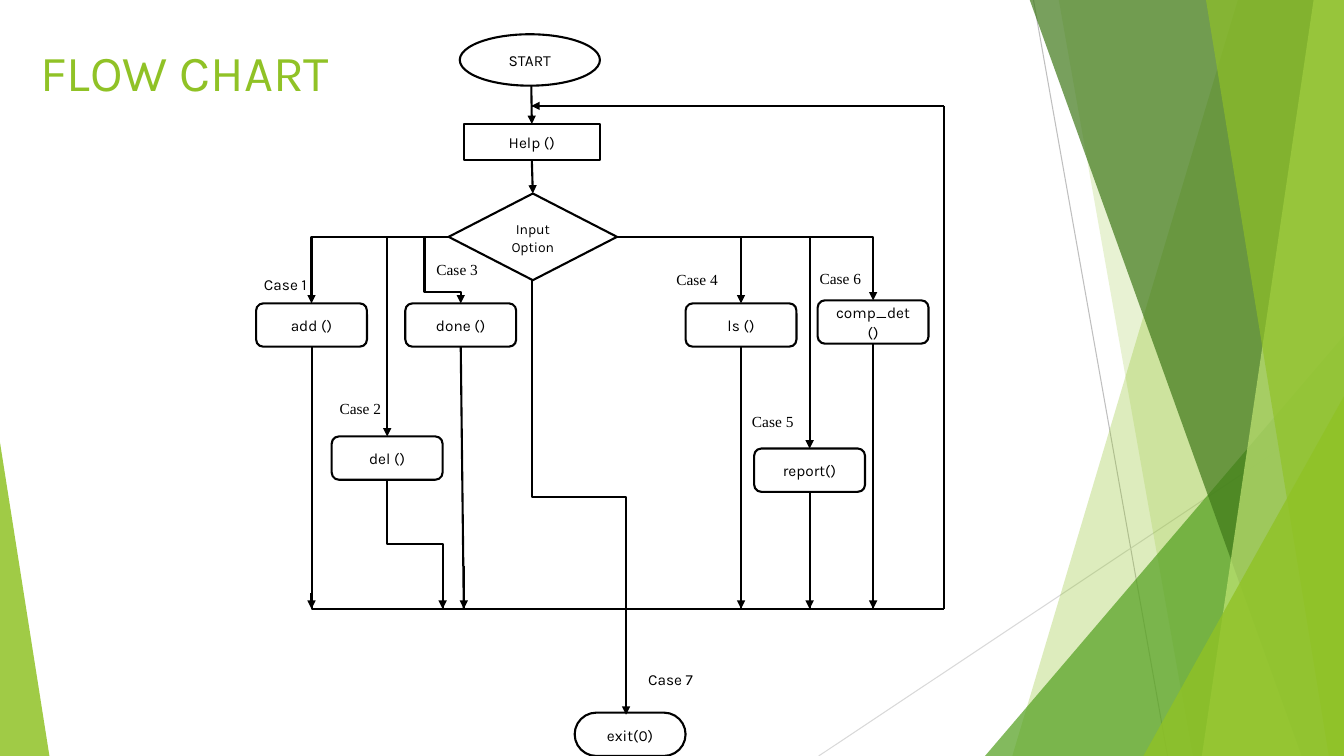
"""Build the flow chart slide of a menu program."""
import pptx
import pptx.util
import pptx.dml.color
import pptx.enum.shapes
import pptx.enum.text
import pptx.oxml.ns
import lxml.etree

Inches = pptx.util.Inches
Pt = pptx.util.Pt
qn = pptx.oxml.ns.qn
Form = pptx.enum.shapes.MSO_SHAPE
Link = pptx.enum.shapes.MSO_CONNECTOR
Anchor = pptx.enum.text.MSO_ANCHOR
Align = pptx.enum.text.PP_ALIGN

deck = pptx.Presentation()
deck.slide_width, deck.slide_height = Inches(13.33), Inches(7.5)
slide = deck.slides.add_slide(deck.slide_layouts[6])
shapes = slide.shapes


def paint(part, color, alpha=100):
    part.solid()
    part.fore_color.rgb = pptx.dml.color.RGBColor.from_string(color)
    if alpha < 100:
        tint = part._xPr.find(".//" + qn("a:srgbClr"))
        lxml.etree.SubElement(tint, qn("a:alpha")).set("val", str(alpha * 1000))


def join(kind, start, end, head=False, color="000000", width=1.5):
    line = shapes.add_connector(kind, *[Inches(n) for n in start + end])
    paint(line.line.fill, color)
    line.line.width = Pt(width)
    props = line._element.spPr
    if head:
        tip = lxml.etree.SubElement(props.find(qn("a:ln")), qn("a:tailEnd"))
        tip.set("type", "triangle")
    lxml.etree.SubElement(props, qn("a:effectLst"))
    return line


join(Link.STRAIGHT, (10.25, 0), (11.58, 7.5), color="BFBFBF", width=0.75)
join(Link.STRAIGHT, (13.33, 4.03), (8.12, 7.5), color="D9D9D9", width=0.75)

bands = [
    (12.28, 10.04, "90C226", 30),
    (10.5, 11.83, "90C226", 20),
    (9.77, 3.33, 3.56, 4.17, 1, "54A021", 72),
    (10.21, 12.91, "3F7819", 70),
    (13.03, 11.92, "C0E474", 70),
    (11.96, 13.18, "90C226", 65),
    (11.34, 3.93, 1.99, 3.57, 1, "90C226", 80),
    (0, 4.39, 0.49, 3.11, 0, "90C226", 85),
]
for *place, color, alpha in bands:
    if len(place) == 2:
        top, foot = place
        pen = shapes.build_freeform(Inches(top), Inches(-0.01))
        edge = [(13.33, -0.01), (13.33, 7.5), (foot, 7.5)]
        pen.add_line_segments([(Inches(x), Inches(y)) for x, y in edge])
        band = pen.convert_to_shape()
    else:
        *area, peak = place
        band = shapes.add_shape(Form.ISOSCELES_TRIANGLE, *[Inches(n) for n in area])
        band.adjustments[0] = peak
    band.shadow.inherit = False
    paint(band.fill, color, alpha)
    band.line.fill.background()

title = shapes.add_textbox(Inches(0.3), Inches(0.36), Inches(9.4), Inches(1.44))
title.text_frame.word_wrap = True
para = title.text_frame.paragraphs[0]
para.text = "FLOW CHART"
para.font.name, para.font.size = "Karla", Pt(36)
paint(para.font.fill, "90C226")

serif = "Times New Roman"
labels = [
    ("Case 1", 2.52, 2.67, 0.76, 0.3, "Karla"),
    ("Case 2", 3.27, 3.9, 0.76, 0.3, serif),
    ("Case 3", 4.23, 2.52, 0.76, 0.3, serif),
    ("Case 4", 6.61, 2.62, 0.67, 0.31, serif),
    ("Case 5", 7.36, 4.03, 0.67, 0.31, serif),
    ("Case 6", 8.03, 2.61, 0.76, 0.3, serif),
    ("Case 7", 6.33, 6.59, 0.67, 0.31, "Karla"),
]
steps = [
    ("START", Form.OVAL, 4.56, 0.34, 1.39, 0.51),
    ("Help ()", Form.RECTANGLE, 4.6, 1.23, 1.35, 0.36),
    ("Input Option", Form.FLOWCHART_DECISION, 4.45, 1.92, 1.67, 0.86),
]
calls = [
    ("add ()", 2.54, 3.01),
    ("del ()", 3.29, 4.33),
    ("comp_det ()", 8.11, 2.98),
    ("ls ()", 6.8, 3.01),
    ("done ()", 4.02, 3.01),
    ("report()", 7.48, 4.45),
    ("exit(0)", 5.7, 7.07),
]
boxes = [(text, Form.RECTANGLE, *area, face) for text, *area, face in labels]
boxes += [(*step, "Karla") for step in steps]
boxes += [(text, Form.ROUNDED_RECTANGLE, x, y, 1.1, 0.43, "Karla") for text, x, y in calls]
nodes = {}
for text, form, *area, face in boxes:
    box = nodes[text] = shapes.add_shape(form, *[Inches(n) for n in area])
    label = text.startswith("Case")
    box.shadow.inherit = False
    paint(box.fill, "FFFFFF")
    paint(box.line.fill, "FFFFFF" if label else "000000")
    box.line.width = Pt(0.5 if label else 1.5)
    frame = box.text_frame
    frame.word_wrap = True
    frame.vertical_anchor = Anchor.TOP if label else Anchor.MIDDLE
    para = frame.paragraphs[0]
    para.text = text
    para.alignment = Align.LEFT if label else Align.CENTER
    para.line_spacing, para.space_after = 1.07, Pt(8)
    para.font.name = face
    para.font.size = Pt(10 if text == "Input Option" else 11)
    paint(para.font.fill, "000000")
nodes["exit(0)"].adjustments[0] = 0.5

line = join(Link.STRAIGHT, (5.27, 0.85), (5.27, 1.23), True)
line.end_connect(nodes["Help ()"], 0)
line = join(Link.STRAIGHT, (5.27, 1.59), (5.28, 1.92), True)
line.begin_connect(nodes["Help ()"], 2)
line.end_connect(nodes["Input Option"], 0)

left, right = (4.45, 2.35), (6.11, 2.35)
turns = [
    (right, 3, "comp_det ()"), (right, 3, "ls ()"), (left, 1, "add ()"),
    (left, 1, "done ()"), (left, 1, "del ()"), (right, 3, "report()"),
]
for start, port, call in turns:
    line = join(Link.ELBOW, start, (start[0], 3), True)
    line.begin_connect(nodes["Input Option"], port)
    line.end_connect(nodes[call], 0)
    geom = line._element.spPr.find(qn("a:prstGeom"))
    geom.set("prst", "bentConnector4" if call == "done ()" else "bentConnector2")
    if call == "done ()":
        guides = geom.find(qn("a:avLst"))
        for name, value in [("adj1", -200000), ("adj2", 82300)]:
            guide = lxml.etree.SubElement(guides, qn("a:gd"))
            guide.set("name", name)
            guide.set("fmla", f"val {value}")

base = 6.04
drops = [
    ("bentConnector2", 3.09, 3.44, 5.87, base, False),
    ("bentConnector3", 3.84, 4.76, 4.39, base, False),
    ("bentConnector2", 7.35, 3.44, 4.65, base, False),
    ("bentConnector3", 5.28, 2.77, 6.21, 7.09, True),
]
for bend, x, y, far, low, head in drops:
    midx, midy = (x + far) / 2, (y + low) / 2
    run, fall = (far - x) / 2, (low - y) / 2
    line = join(Link.ELBOW, (midx - fall, midy + run), (midx + fall, midy - run), head)
    props = line._element.spPr
    props.find(qn("a:prstGeom")).set("prst", bend)
    props.find(qn("a:xfrm")).set("rot", "5400000")

rails = [
    (4.57, 3.44, 4.6, base), (5.27, 1.05, 9.36, 1.05), (9.36, 1.05, 9.36, base),
    (5.87, base, 9.36, base), (8.03, 4.88, 8.03, base), (8.66, 3.41, 8.66, base),
]
for x, y, far, low in rails:
    join(Link.STRAIGHT, (x, y), (far, low))

join(Link.STRAIGHT, (5.51, 1.05), (5.27, 1.05), True)
tips = [(3.09, 5.88), (4.39, 5.93), (4.6, 5.62), (7.35, 5.68), (8.03, 5.59), (8.66, 5.44)]
for x, y in tips:
    join(Link.STRAIGHT, (x, y), (x, base), True)

deck.save("out.pptx")
